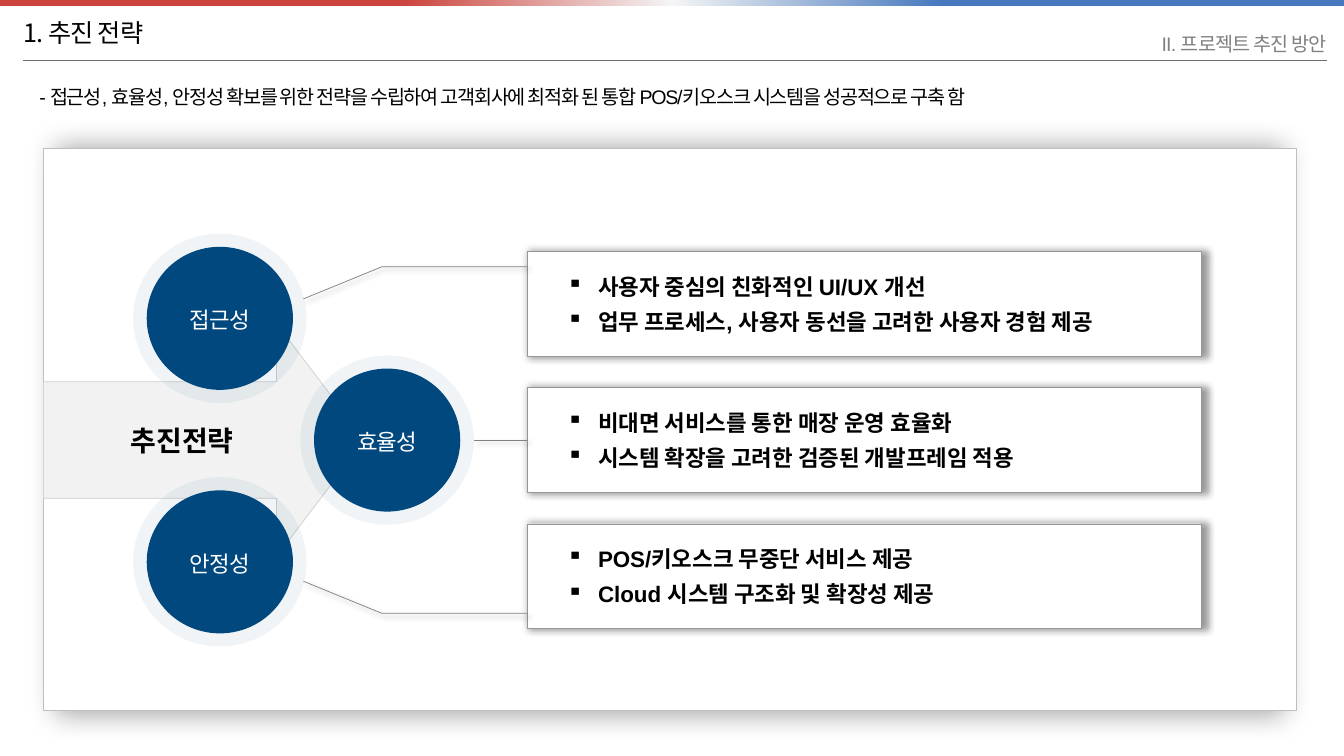
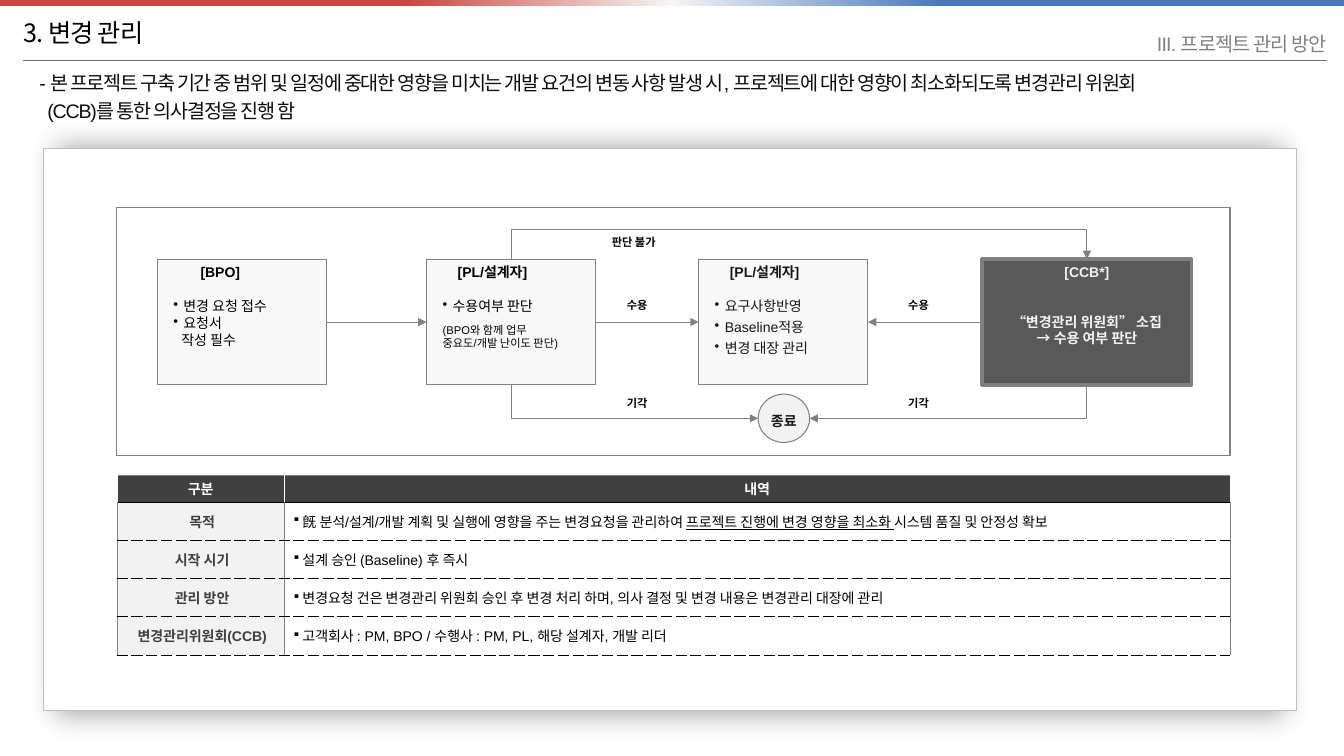
from copy import deepcopy
from typing import NamedTuple

from lxml.etree import SubElement
from pptx import Presentation
from pptx.dml.color import RGBColor
from pptx.enum.shapes import MSO_CONNECTOR, MSO_SHAPE
from pptx.enum.text import MSO_ANCHOR, PP_ALIGN
from pptx.oxml.ns import qn
from pptx.util import Inches, Pt

BLACK = RGBColor(0x00, 0x00, 0x00)
INK = RGBColor(0x0D, 0x0D, 0x0D)
COAL = RGBColor(0x18, 0x17, 0x17)
DARK = RGBColor(0x40, 0x40, 0x40)
SLATE = RGBColor(0x59, 0x59, 0x59)
RULE = RGBColor(0x6E, 0x6E, 0x6E)
GRAY = RGBColor(0x80, 0x80, 0x80)
EDGE = RGBColor(0x96, 0x96, 0x96)
SILVER = RGBColor(0xBF, 0xBF, 0xBF)
ASH = RGBColor(0xD0, 0xCE, 0xCE)
PALE = RGBColor(0xF2, 0xF2, 0xF2)
MIST = RGBColor(0xF8, 0xF8, 0xF8)
WHITE = RGBColor(0xFF, 0xFF, 0xFF)
NAVY = RGBColor(0x00, 0x48, 0x7E)
BAND = ((0.3, RGBColor(0xCB, 0x44, 0x3D)), (0.5, RGBColor(0xF5, 0xF5, 0xF5)),
        (0.7, RGBColor(0x48, 0x79, 0xBE)))
SANS = "Noto Sans CJK KR"
MID = PP_ALIGN.CENTER


class Box(NamedTuple):
    """A region whose areas are given in percent of its size."""
    x: int
    y: int
    w: int
    h: int

    def spot(self, x, y):
        """Return the point at these shares of the region."""
        return round(self.x + self.w * x / 100), round(self.y + self.h * y / 100)

    def area(self, x, y, w, h):
        """Return the region at these shares."""
        return Box(*self.spot(x, y), round(self.w * w / 100), round(self.h * h / 100))

    def around(self, x, y, w, h):
        """Return the region centred on these shares."""
        return self.area(x - w / 2, y - h / 2, w, h)


PAGE = Box(0, 0, Inches(13.33), Inches(7.5))
PANEL = PAGE.area(3.23, 19.6, 93.25, 74.4)


def write(frame, words, size=10, color=BLACK, bold=False, font="Arial", align=None,
          left=0, hang=0, mark=None, scale=None, before=0, lead=None, track=0):
    """Add one formatted paragraph of words, or of (words, underline) runs."""
    para = frame.paragraphs[0]
    if para.runs:
        para = frame.add_paragraph()
        para.space_before = Pt(before)
    props = para._p.get_or_add_pPr()
    if left:
        props.set("marL", str(Inches(left)))
        props.set("indent", str(-Inches(hang)))
    if scale:
        SubElement(props, qn("a:buSzPct"), val=str(scale * 1000))
    if mark:
        SubElement(props, qn("a:buChar"), char=mark)
    para.alignment = align
    para.line_spacing = lead
    for piece, under in [(words, False)] if isinstance(words, str) else words:
        run = para.add_run()
        run.text = piece
        run.font.size, run.font.bold, run.font.name = Pt(size), bold, font
        run.font.color.rgb = color
        if under:
            run.font.underline = True
        look = run._r.get_or_add_rPr()
        SubElement(look, qn("a:ea"), typeface=SANS)
        if track:
            look.set("spc", str(round(track * 100)))


def inset(host, left, top, right, low, anchor=MSO_ANCHOR.MIDDLE):
    """Set the margins in inches and the anchor of a frame or a cell."""
    host.margin_left, host.margin_top = Inches(left), Inches(top)
    host.margin_right, host.margin_bottom = Inches(right), Inches(low)
    host.vertical_anchor = anchor


def label(slide, box, pad=0, anchor=MSO_ANCHOR.MIDDLE):
    """Add a text box and return its frame."""
    frame = slide.shapes.add_textbox(*box).text_frame
    frame.word_wrap = True
    inset(frame, pad, pad / 2, pad, pad / 2, anchor)
    return frame


def glow(shape, alpha, blur, dist, turn, **more):
    """Give a shape an outer shadow."""
    props = shape._element.spPr
    for old in props.findall(qn("a:effectLst")):
        props.remove(old)
    shade = SubElement(SubElement(props, qn("a:effectLst")), qn("a:outerShdw"),
                       blurRad=str(Pt(blur)), dist=str(Pt(dist)), dir=str(turn * 60000),
                       **more, rotWithShape="0")
    tone = SubElement(shade, qn("a:srgbClr"), val=str(BLACK))
    SubElement(tone, qn("a:alpha"), val=str(alpha * 1000))


def block(slide, kind, box, fill, line=None, width=0.75, alpha=None):
    """Add a preset shape with a flat fill and an optional outline."""
    shape = slide.shapes.add_shape(kind, *box)
    shape.shadow.inherit = False
    shape.fill.solid()
    shape.fill.fore_color.rgb = fill
    if alpha:
        tone = shape._element.spPr.find(qn("a:solidFill"))[0]
        SubElement(tone, qn("a:alpha"), val=str(alpha * 1000))
    if line is None:
        shape.line.fill.background()
    else:
        shape.line.color.rgb, shape.line.width = line, Pt(width)
    return shape


def link(slide, start, end, color=GRAY, width=0.75, tip=None, bent=False):
    """Join two points by a straight line or by one with a single corner."""
    kind = MSO_CONNECTOR.ELBOW if bent else MSO_CONNECTOR.STRAIGHT
    wire = slide.shapes.add_connector(kind, *start, *end)
    wire.line.color.rgb, wire.line.width = color, Pt(width)
    props = wire._element.spPr
    if bent:
        props.find(qn("a:prstGeom")).set("prst", "bentConnector2")
    if tip:
        SubElement(props.find(qn("a:ln")), qn(f"a:{tip}End"), type="triangle")
    SubElement(props, qn("a:effectLst"))
    return wire


def base(deck, title, topic, intro, color):
    """Add a slide with its band, headings, intro and panel."""
    slide = deck.slides.add_slide(deck.slide_layouts[6])
    link(slide, PAGE.spot(1.73, 8), PAGE.spot(98.73, 8), RULE, 0.5)
    band = block(slide, MSO_SHAPE.RECTANGLE, PAGE.area(0, 0, 100, 0.8), WHITE)
    band.fill.gradient()
    band.fill.gradient_angle = 0
    stops = band._element.spPr.find(qn("a:gradFill")).find(qn("a:gsLst"))
    stops.append(deepcopy(stops[0]))
    for stop, (place, tone) in zip(band.fill.gradient_stops, BAND):
        stop.position, stop.color.rgb = place, tone
    panel = block(slide, MSO_SHAPE.RECTANGLE, PANEL, WHITE, SILVER, 0.5)
    glow(panel, 35, 20, 3, 90, sx="98000", sy="101000", algn="b")
    write(label(slide, PAGE.area(1.73, 1.47, 55.8, 5.6)), title,
          size=18, font=SANS, track=-0.6)
    frame = label(slide, PAGE.area(2.93, 8.8, 94.4, 8))
    for place, words in enumerate(intro):
        write(frame, words, size=14, color=color, before=3, left=0.08 * place, track=-0.9)
    write(label(slide, PAGE.area(57.54, 4.4, 41.19, 2.67)), topic,
          size=14, color=GRAY, align=PP_ALIGN.RIGHT, track=-0.6)
    return slide


def ball(slide, box, name):
    """Draw a named disc inside its pale halo."""
    block(slide, MSO_SHAPE.OVAL, box, NAVY, alpha=6)
    disc = block(slide, MSO_SHAPE.OVAL, box.around(50, 50, 84.3, 84.5), NAVY)
    inset(disc.text_frame, 0, 0.03, 0, 0)
    write(disc.text_frame, name, size=16, color=WHITE, font=SANS, align=MID, track=-0.6)


def card(slide, box, lines):
    """Draw a shadowed card of bulleted lines."""
    shape = block(slide, MSO_SHAPE.RECTANGLE, box, WHITE, EDGE, 0.25)
    glow(shape, 40, 5, 0, 0, sx="101000", sy="101000", algn="l")
    inset(shape.text_frame, 0.39, 0.05, 0.06, 0.05)
    for words in lines:
        write(shape.text_frame, words, size=16, bold=True, align=PP_ALIGN.LEFT,
              left=0.31, hang=0.31, mark="▪", before=6)
    return shape


def plan(slide, box):
    """Draw the three strategy goals with their cards."""
    goals = (
        ("접근성", 14.08, ("사용자 중심의 친화적인 UI/UX 개선",
                        "업무 프로세스, 사용자 동선을 고려한 사용자 경험 제공")),
        ("효율성", 27.43, ("비대면 서비스를 통한 매장 운영 효율화",
                        "시스템 확장을 고려한 검증된 개발프레임 적용")),
        ("안정성", 14.08, ("POS/키오스크 무중단 서비스 제공",
                        "Cloud 시스템 구조화 및 확장성 제공")),
    )
    mid = 51.9
    arrow = block(slide, MSO_SHAPE.RIGHT_ARROW, box.around(12.83, mid, 25.66, 41.4),
                  PALE, ASH, 0.5)
    arrow.adjustments[1] = 0.38
    write(arrow.text_frame, "추진전략", size=20, bold=True, align=MID)
    for turn, (name, x, lines) in zip((-1, 0, 1), goals):
        ball(slide, box.around(x, mid + 21.65 * turn, 13.84, 30.1), name)
        shape = card(slide, box.around(65.49, mid + 24.19 * turn, 53.74, 18.64), lines)
        if turn:
            near, far = mid + 25.1 * turn, mid + 30.8 * turn
            pen = slide.shapes.build_freeform(*box.spot(20.75, near))
            pen.add_line_segments([box.spot(27, far), box.spot(38.62, far)], close=False)
            wire = pen.convert_to_shape()
            wire.fill.background()
            wire.line.color.rgb, wire.line.width = GRAY, Pt(0.5)
        else:
            wire = link(slide, box.spot(34.35, mid), box.spot(38.62, mid), width=0.5)
            wire.end_connect(shape, 1)
        glow(wire, 40, 4, 3, 45)


def step(slide, box, head, lines, shift, color=BLACK):
    """Draw a process box with a bold head and its lines."""
    shape = block(slide, MSO_SHAPE.RECTANGLE, box, MIST, GRAY)
    inset(shape.text_frame, 0.16, 0.05, 0, 0.05, MSO_ANCHOR.TOP)
    write(shape.text_frame, head, bold=True, color=color, align=PP_ALIGN.LEFT, left=shift)
    for words, look in lines:
        write(shape.text_frame, words, color=color, align=PP_ALIGN.LEFT, **look)
    return shape


def flow(slide, box):
    """Draw the change request process."""
    block(slide, MSO_SHAPE.RECTANGLE, box, WHITE, GRAY)
    dot = dict(left=0.1, hang=0.1, mark="•")
    first = dict(dot, before=12)
    steps = (
        (3.62, "[BPO]", 0.27, BLACK, (("변경 요청 접수", first), ("요청서", dot),
                                      ("작성 필수", dict(left=0.08)))),
        (27.81, "[PL/설계자]", 0.15, BLACK, (
            ("수용여부 판단", first), ("(BPO와 함께 업무", dict(size=8, before=6)),
            ("중요도/개발 난이도 판단)", dict(size=8)))),
        (52.26, "[PL/설계자]", 0.15, COAL, (
            ("요구사항반영", first), ("Baseline적용", dict(dot, before=3)),
            ("변경 대장 관리", dict(dot, before=3)))),
    )
    top, tall, wide = 20.73, 50.8, 15.22
    ask, check, apply = [step(slide, box.area(x, top, wide, tall), head, lines, shift, color)
                         for x, head, shift, color, lines in steps]
    board = block(slide, MSO_SHAPE.RECTANGLE, box.area(77.72, top, 18.84, tall),
                  SLATE, GRAY, 2.25)
    inset(board.text_frame, 0.04, 0.05, 0.04, 0.05, MSO_ANCHOR.TOP)
    for words, before in (("[CCB*]", 0), ("“변경관리 위원회” 소집", 23), ("→ 수용 여부 판단", 0)):
        write(board.text_frame, words, color=PALE, bold=True, align=MID, before=before)
    stop = block(slide, MSO_SHAPE.OVAL, box.around(59.92, 84.95, 4.62, 19.5), PALE, GRAY)
    inset(stop.text_frame, 0, 0, 0, 0)
    write(stop.text_frame, "종료", color=COAL, bold=True, align=MID, lead=1.3)
    for one, two, out, into in ((ask, check, 3, 1), (check, apply, 3, 1), (board, apply, 1, 3)):
        wire = link(slide, box.spot(0, 0), box.spot(9, 9), tip="tail")
        wire.begin_connect(one, out)
        wire.end_connect(two, into)
    left, right, low = 35.42, 87.14, top + tall
    for side, x in ((57.61, left), (62.23, right)):
        link(slide, box.spot(side, 84.95), box.spot(x, low), tip="head", bent=True)
    rise = link(slide, box.spot(left, top), box.spot(left, 8.9))
    rise.begin_connect(check, 0)
    link(slide, box.spot(left, 8.9), box.spot(right, top), tip="tail", bent=True)
    for words, x, y in (("판단 불가", 43.57, 8.13), ("수용", 44.93, 34.55), ("기각", 44.93, 73.98),
                        ("수용", 70.2, 34.55), ("기각", 70.2, 73.98)):
        frame = label(slide, box.area(x, y, 8.06, 11.4), 0.1, MSO_ANCHOR.TOP)
        write(frame, words, size=8, bold=True, lead=1.2 if y < top else None)


def paint(cell, fill, **sides):
    """Set the borders (colour, width, dash) of a cell, then its fill."""
    props = cell._tc.get_or_add_tcPr()
    for side, (color, width, dash) in sides.items():
        line = SubElement(props, qn(f"a:ln{side}"), w=str(Pt(width)))
        SubElement(SubElement(line, qn("a:solidFill")), qn("a:srgbClr"), val=str(color))
        SubElement(line, qn("a:prstDash"), val=dash)
    cell.fill.solid()
    cell.fill.fore_color.rgb = fill


def grid(slide, box):
    """Draw the table of change control rules."""
    rows = (
        ("목적", (("旣 분석/설계/개발 계획 및 실행에 영향을 주는 변경요청을 관리하여 ", False),
                ("프로젝트 진행에 변경 영향을 최소화 ", True),
                ("시스템 품질 및 안정성 확보", False))),
        ("시작 시기", "설계 승인 (Baseline) 후 즉시"),
        ("관리 방안", "변경요청 건은 변경관리 위원회 승인 후 변경 처리 하며, 의사 결정 및 변경 내용은 변경관리 대장에 관리"),
        ("변경관리위원회(CCB)", "고객회사 : PM, BPO / 수행사 : PM, PL, 해당 설계자, 개발 리더"),
    )
    table = slide.shapes.add_table(len(rows) + 1, 2, *box).table
    table.first_row = table.horz_banding = False
    for place, share in enumerate((15.04, 84.96)):
        table.columns[place].width = round(box.w * share / 100)
    for place, line in enumerate(table.rows):
        line.height = round(box.h * (21.35 if place else 14.6) / 100)
    white, gray = (WHITE, 0.25, "solid"), (GRAY, 0.25, "solid")
    solid, dash = (BLACK, 0.25, "solid"), (BLACK, 0.25, "dash")
    for cell, words in zip(table.rows[0].cells, ("구분", "내역")):
        paint(cell, DARK, L=white, R=white, T=(GRAY, 1, "solid"), B=solid)
        inset(cell, 0.05, 0, 0.05, 0)
        write(cell.text_frame, words, color=WHITE, bold=True, align=MID)
    for place, (name, words) in enumerate(rows, 1):
        head, body = table.rows[place].cells
        for cell, fill in ((head, PALE), (body, WHITE)):
            paint(cell, fill, L=gray, R=gray, T=dash if place > 1 else solid, B=dash)
            inset(cell, 0.08, 0.04, 0.05, 0.04)
        write(head.text_frame, name, color=DARK, bold=True, align=MID)
        write(body.text_frame, words, left=0.1, hang=0.1, mark="▪", scale=80)


def main():
    """Build both slides and save the deck."""
    deck = Presentation()
    deck.slide_width, deck.slide_height = PAGE.w, PAGE.h
    plan(base(deck, "1. 추진 전략", "II. 프로젝트 추진 방안", (
        "- 접근성, 효율성, 안정성 확보를 위한 전략을 수립하여 고객회사에 최적화 된 통합 POS/키오스크 시스템을 성공적으로 구축 함",
    ), BLACK), PANEL)
    slide = base(deck, "3. 변경 관리", "III. 프로젝트 관리 방안", (
        "- 본 프로젝트 구축 기간 중 범위 및 일정에 중대한 영향을 미치는 개발 요건의 변동 사항 발생 시, "
        "프로젝트에 대한 영향이 최소화되도록 변경관리 위원회",
        "(CCB)를 통한 의사결정을 진행 함"), INK)
    flow(slide, PAGE.area(8.7, 27.47, 82.82, 32.8))
    grid(slide, PAGE.area(8.7, 62.93, 82.82, 23.7))
    deck.save("out.pptx")


if __name__ == "__main__":
    main()
